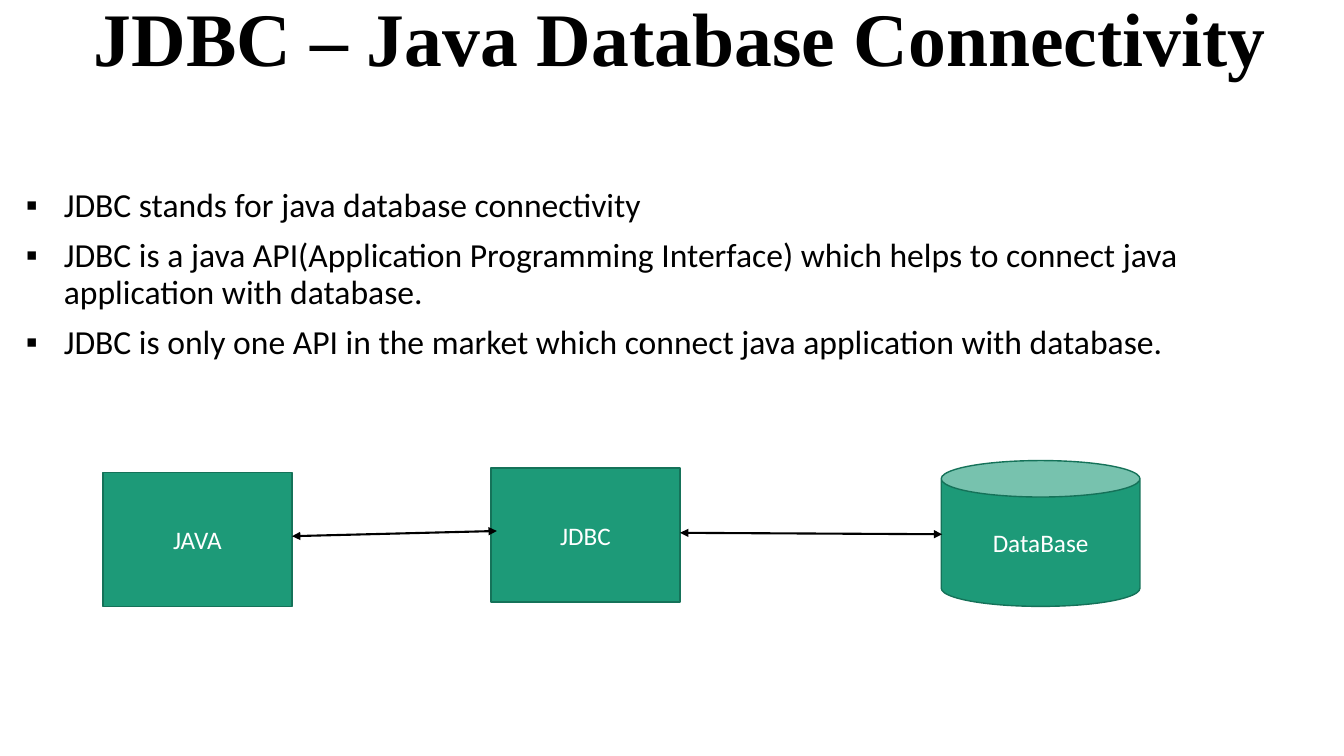
from dataclasses import dataclass

from lxml.etree import SubElement
from pptx import Presentation
from pptx.dml.color import RGBColor
from pptx.enum.shapes import MSO_CONNECTOR, MSO_SHAPE
from pptx.enum.text import MSO_ANCHOR, PP_ALIGN
from pptx.oxml.ns import qn
from pptx.slide import Slide
from pptx.text.text import TextFrame
from pptx.util import Pt


@dataclass(frozen=True)
class Theme:
    ink: RGBColor = RGBColor(0, 0, 0)
    paper: RGBColor = RGBColor(255, 255, 255)
    green: RGBColor = RGBColor(0x1D, 0x9A, 0x78)
    edge: RGBColor = RGBColor(0x15, 0x72, 0x59)
    head: str = "Times New Roman"
    body: str = "Calibri"
    big: float = 54
    mid: float = 24
    small: float = 18


@dataclass(frozen=True)
class Box:
    left: float
    top: float
    width: float
    height: float

    def place(self) -> tuple:
        return tuple(Pt(v) for v in (self.left, self.top, self.width, self.height))


@dataclass(frozen=True)
class Node:
    label: str
    kind: MSO_SHAPE
    box: Box


@dataclass(frozen=True)
class Link:
    start: tuple[float, float]
    end: tuple[float, float]


THEME = Theme()
TITLE = "JDBC – Java Database Connectivity"
TITLE_BOX = Box(11.5, -0.7, 948.2, 63.4)
POINTS = (
    "JDBC stands for java database connectivity",
    "JDBC is a java API(Application Programming Interface) which helps to "
    "connect java application with database.",
    "JDBC is only one API in the market which connect java application with database.",
)
POINT_BOX = Box(11.5, 58.3, 933.8, 474.5)
POINT_INSET = 76.4
INDENT = 27
NODES = (
    Node("JAVA", MSO_SHAPE.RECTANGLE, Box(73.5, 337.7, 135, 95.6)),
    Node("JDBC", MSO_SHAPE.RECTANGLE, Box(350.7, 334.3, 135, 95.6)),
    Node("DataBase", MSO_SHAPE.CAN, Box(672.3, 329, 142, 104.2)),
)
LINKS = (
    Link((208.6, 383), (354.9, 379.3)),
    Link((485.8, 380.6), (673, 381.6)),
)


def apply(target: object, values: dict) -> None:
    for name, value in values.items():
        setattr(target, name, value)


def write(frame: TextFrame, lines: tuple[str, ...], font: dict, color: RGBColor,
          layout: dict) -> None:
    for index, line in enumerate(lines):
        para = frame.add_paragraph() if index else frame.paragraphs[0]
        apply(para, layout)
        run = para.add_run()
        run.text = line
        apply(run.font, font)
        run.font.color.rgb = color


def add_text(slide: Slide, box: Box, frame_style: dict) -> TextFrame:
    frame = slide.shapes.add_textbox(*box.place()).text_frame
    apply(frame, {"word_wrap": True} | frame_style)
    return frame


def add_title(slide: Slide) -> None:
    frame = add_text(slide, TITLE_BOX, {"vertical_anchor": MSO_ANCHOR.BOTTOM})
    write(frame, (TITLE,), {"name": THEME.head, "size": Pt(THEME.big), "bold": True},
          THEME.ink, {"alignment": PP_ALIGN.CENTER, "line_spacing": 0.9})


def add_points(slide: Slide) -> None:
    frame = add_text(slide, POINT_BOX, {"margin_top": Pt(POINT_INSET)})
    write(frame, POINTS, {"name": THEME.body, "size": Pt(THEME.mid)}, THEME.ink,
          {"line_spacing": 0.9, "space_before": Pt(10)})
    for para in frame.paragraphs:
        props = para._p.get_or_add_pPr()
        props.set("marL", str(Pt(INDENT)))
        props.set("indent", str(-Pt(INDENT)))
        SubElement(props, qn("a:buFont"), typeface="Arial")
        SubElement(props, qn("a:buChar"), char="▪")


def add_node(slide: Slide, node: Node) -> None:
    shape = slide.shapes.add_shape(node.kind, *node.box.place())
    shape.shadow.inherit = False
    shape.fill.solid()
    shape.fill.fore_color.rgb = THEME.green
    shape.line.color.rgb = THEME.edge
    shape.line.width = Pt(1)
    shape.text_frame.vertical_anchor = MSO_ANCHOR.MIDDLE
    write(shape.text_frame, (node.label,),
          {"name": THEME.body, "size": Pt(THEME.small)}, THEME.paper,
          {"alignment": PP_ALIGN.CENTER})


def add_link(slide: Slide, link: Link) -> None:
    ends = (Pt(v) for v in link.start + link.end)
    line = slide.shapes.add_connector(MSO_CONNECTOR.STRAIGHT, *ends)
    line.line.color.rgb = THEME.ink
    line.line.width = Pt(1.5)
    for tip in ("a:headEnd", "a:tailEnd"):
        SubElement(line.line._get_or_add_ln(), qn(tip), type="triangle")
    SubElement(line._element.spPr, qn("a:effectLst"))


def main() -> None:
    deck = Presentation()
    apply(deck, {"slide_width": Pt(960), "slide_height": Pt(540)})
    slide = deck.slides.add_slide(deck.slide_layouts[6])

    # Heading and bullet points
    add_title(slide)
    add_points(slide)

    # Diagram from application to database
    for node in NODES:
        add_node(slide, node)
    for link in LINKS:
        add_link(slide, link)

    deck.save("out.pptx")


if __name__ == "__main__":
    main()
